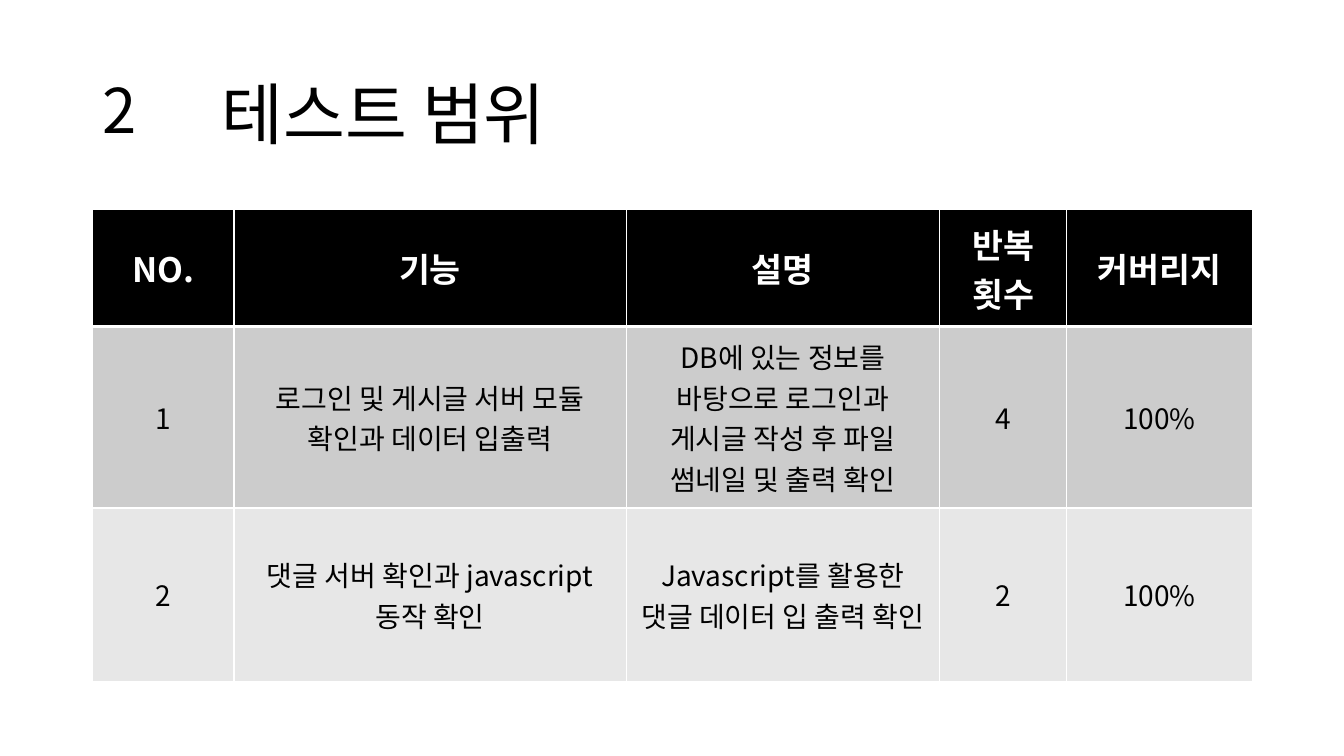
from pptx import Presentation
from pptx.dml.color import RGBColor
from pptx.enum.text import MSO_ANCHOR as ANCHOR, MSO_AUTO_SIZE as AUTO, PP_ALIGN as ALIGN
from pptx.oxml.ns import qn
from pptx.util import Inches, Pt
from lxml.etree import SubElement

FONT = "Noto Sans CJK KR"
COLS = [1.4, 3.89, 3.11, 1.26, 1.84]
ROWS = [1.16, 1.8, 1.72]
FILLS = ["000000", "CCCCCC", "E7E7E7"]
CELLS = [
    ["NO.", "기능", "설명", "반복 횟수", "커버리지"],
    ["1", "로그인 및 게시글 서버 모듈 확인과 데이터 입출력",
     "DB에 있는 정보를 바탕으로 로그인과 게시글 작성 후 파일 썸네일 및 출력 확인", "4", "100%"],
    ["2", "댓글 서버 확인과 javascript 동작 확인",
     "Javascript를 활용한 댓글 데이터 입 출력 확인", "2", "100%"],
]
HEAD = {"size": Pt(24), "bold": True}
BODY = {"size": Pt(20), "bold": False}


def rgb(value):
    return RGBColor.from_string(value)


def write(tf, text, fmt, color="000000", align=ALIGN.LEFT):
    p = tf.paragraphs[0]
    p.alignment = align
    r = p.add_run()
    r.text = text
    for name, value in fmt.items():
        setattr(r.font, name, value)
    r.font.color.rgb = rgb(color)
    r.font.name = FONT
    SubElement(r.font._element, qn("a:ea"), typeface=FONT)
    return p


def set_borders(cell, widths):
    tc_pr = cell._tc.get_or_add_tcPr()
    for side, width in widths.items():
        ln = SubElement(tc_pr, qn("a:ln" + side), w=str(Pt(width)))
        fill = SubElement(ln, qn("a:solidFill"))
        SubElement(fill, qn("a:srgbClr"), val="FFFFFF")


def add_heading(s, x, y, w, h):
    sp = s.shapes.title
    sp.left, sp.top, sp.width, sp.height = map(Inches, (x, y, w, h))
    sp.text_frame.vertical_anchor = ANCHOR.MIDDLE
    write(sp.text_frame, "2", {"size": Pt(44)}).line_spacing = 0.9
    sp = s.shapes.add_textbox(*map(Inches, (x + 1.18, y + 0.27, w - 1.69, 0.91)))
    tf = sp.text_frame
    tf.word_wrap = True
    tf.auto_size = AUTO.SHAPE_TO_FIT_TEXT
    write(tf, "테스트 범위", {"size": Pt(48)})


def add_scope_table(s, x, y, w, h):
    table = s.shapes.add_table(len(ROWS), len(COLS), *map(Inches, (x, y, w, h))).table
    for col, width in zip(table.columns, COLS):
        col.width = Inches(width)
    for i, (row, height) in enumerate(zip(table.rows, ROWS)):
        row.height = Inches(height)
        fmt, color = (HEAD, "FFFFFF") if i == 0 else (BODY, "000000")
        borders = {"L": 1, "R": 1, "T": 3 if i == 1 else 1, "B": 3 if i == 0 else 1}
        for cell, text in zip(row.cells, CELLS[i]):
            set_borders(cell, borders)
            cell.fill.solid()
            cell.fill.fore_color.rgb = rgb(FILLS[i])
            cell.vertical_anchor = ANCHOR.MIDDLE
            write(cell.text_frame, text, fmt, color, ALIGN.CENTER)


prs = Presentation()
prs.slide_width, prs.slide_height = Inches(13.33), Inches(7.5)
s = prs.slides.add_slide(prs.slide_layouts[5])
add_heading(s, 0.92, 0.4, 11.5, 1.45)
add_scope_table(s, 0.92, 2.08, sum(COLS), sum(ROWS))
prs.save("out.pptx")
